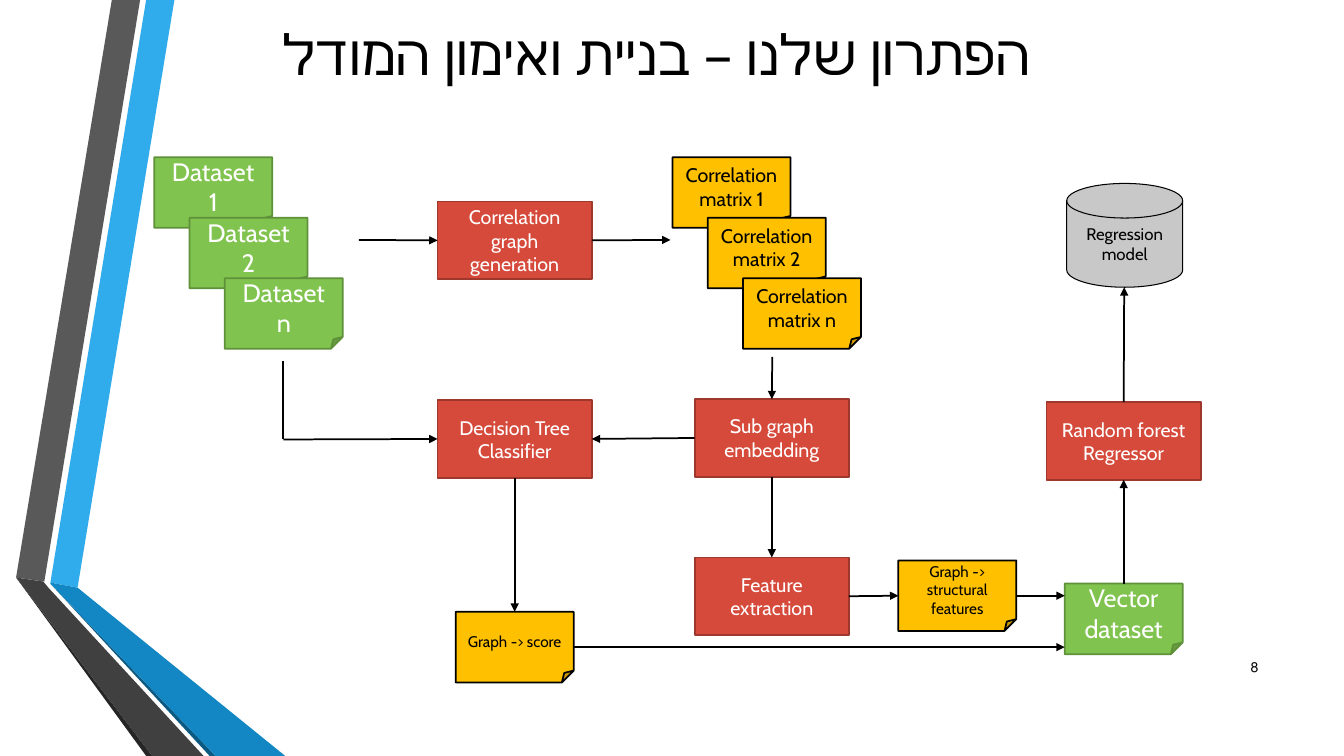
from pptx import Presentation
from pptx.dml.color import RGBColor
from pptx.enum.shapes import MSO_CONNECTOR, MSO_SHAPE
from pptx.enum.text import MSO_ANCHOR, PP_ALIGN
from pptx.oxml.ns import qn
from pptx.util import Pt
from lxml import etree

PX = 9144  # 100 px to the inch
FONT = "Cabin"
BLACK, WHITE = "000000", "FFFFFF"
GREEN, RED, AMBER = ("80C34F", "5F903A"), ("D64A3B", "9E372C"), ("FFC000", BLACK)
RECT, NOTE = MSO_SHAPE.RECTANGLE, MSO_SHAPE.FOLDED_CORNER
DISK = MSO_SHAPE.FLOWCHART_MAGNETIC_DISK
STRAIGHT = MSO_CONNECTOR.STRAIGHT
CENTER, RIGHT_ALIGN = PP_ALIGN.CENTER, PP_ALIGN.RIGHT
MIDDLE = MSO_ANCHOR.MIDDLE
TOP, LEFT, BOTTOM, RIGHT = range(4)

RIBBONS = [
    ("30ACEC", [(50, 578), (77, 583), (173, 0), (145, 0)]),
    ("595959", [(139, 0), (111, 0), (16, 573), (44, 577)]),
    ("262626", [(16, 573), (145, 750), (151, 750)]),
    ("0C5A82", [(50, 579), (208, 750), (214, 750)]),
    ("1287C3", [(50, 579), (214, 750), (283, 750), (77, 583), (50, 578)]),
    ("404040", [(202, 750), (48, 583), (43, 577), (16, 573), (151, 750)]),
]


def rgb(value):
    return RGBColor.from_string(value)


def px(*lengths):
    return [n * PX for n in lengths]


def write(shape, text, size, color, align=CENTER, rtl=False):
    tf = shape.text_frame
    tf.word_wrap = True
    tf.vertical_anchor = MIDDLE
    tf.text = text
    for p in tf.paragraphs:
        p.alignment = align
        p.font.name = FONT
        p.font.size = Pt(size)
        p.font.color.rgb = rgb(color)
        if rtl:
            p._p.get_or_add_pPr().set("rtl", "1")


def add_ribbon(s, color, points):
    builder = s.shapes.build_freeform(*points[0], scale=PX)
    builder.add_line_segments(points[1:], close=True)
    sp = builder.convert_to_shape()
    sp.shadow.inherit = False
    sp.fill.solid()
    sp.fill.fore_color.rgb = rgb(color)
    sp.line.fill.background()


def add_box(s, kind, box, text, size, colors, text_color, line_width=1.25):
    fill, line = colors
    sp = s.shapes.add_shape(kind, *px(*box))
    sp.shadow.inherit = False
    sp.fill.solid()
    sp.fill.fore_color.rgb = rgb(fill)
    sp.line.color.rgb = rgb(line)
    sp.line.width = Pt(line_width)
    write(sp, text, size, text_color)
    return sp


def add_step(s, x, y, text):
    return add_box(s, RECT, (x, y, 153, 77), text, 14, RED, WHITE)


def add_note(s, x, y, text, size, colors, text_color):
    return add_box(s, NOTE, (x, y, 117, 70), text, size, colors, text_color)


def add_stack(s, x, label, size, colors, text_color):
    """Three overlapping notes, numbered 1, 2 and n."""
    for i, number in enumerate("12n"):
        add_note(s, x + 35 * i, 156 + 60 * i, label + number, size, colors, text_color)


def add_arrow(s, start, end, source=None, target=None, head=True):
    """Line between two points; source and target are (shape, side) joints."""
    line = s.shapes.add_connector(STRAIGHT, *px(*start, *end))
    if source:
        line.begin_connect(*source)
    if target:
        line.end_connect(*target)
    line.line.color.rgb = rgb(BLACK)
    line.line.width = Pt(1.25)
    sp_pr = line._element.spPr
    if head:
        etree.SubElement(sp_pr.find(qn("a:ln")), qn("a:tailEnd"), type="triangle")
    etree.SubElement(sp_pr, qn("a:effectLst"))


def add_title(s, text):
    title = s.shapes.title
    title.left, title.top, title.width, title.height = px(76, -20, 1150, 145)
    write(title, text, 40, BLACK, rtl=True)


def add_page_number(s, text):
    box = s.shapes.add_textbox(*px(1198, 642, 60, 40))
    write(box, text, 10, BLACK, RIGHT_ALIGN, rtl=True)


def main():
    prs = Presentation()
    prs.slide_width, prs.slide_height = px(1333, 750)
    s = prs.slides.add_slide(prs.slide_layouts[5])

    for color, points in RIBBONS:
        add_ribbon(s, color, points)
    add_title(s, "הפתרון שלנו – בניית ואימון המודל")
    add_page_number(s, "8")

    add_stack(s, 153, "Dataset\n", 18, GREEN, WHITE)
    add_stack(s, 667, "Correlation matrix ", 14, AMBER, BLACK)
    correlation = add_step(s, 434, 200, "Correlation graph generation")
    classifier = add_step(s, 434, 397, "Decision Tree\nClassifier")
    embedding = add_step(s, 689, 396, "Sub graph\nembedding")
    extraction = add_step(s, 689, 553, "Feature\nextraction")
    regressor = add_step(s, 1038, 399, "Random forest\nRegressor")
    score = add_note(s, 452, 607, "Graph -> score", 11, AMBER, BLACK)
    features = add_note(s, 891, 556, "Graph -> structural features", 11, AMBER, BLACK)
    vector = add_note(s, 1056, 579, "Vector\ndataset", 18, GREEN, WHITE)
    add_box(s, DISK, (1058, 182, 115, 103), "Regression model", 12,
            ("C8C8C8", BLACK), BLACK, 0.75)

    add_arrow(s, (356, 238), (434, 238), target=(correlation, LEFT))
    add_arrow(s, (587, 238), (665, 238), source=(correlation, RIGHT))
    add_arrow(s, (281, 358), (281, 436), head=False)
    add_arrow(s, (281, 436), (434, 436), target=(classifier, LEFT))
    add_arrow(s, (766, 354), (766, 396), target=(embedding, TOP))
    add_arrow(s, (689, 435), (587, 436), (embedding, LEFT), (classifier, RIGHT))
    add_arrow(s, (766, 473), (766, 553), (embedding, BOTTOM), (extraction, TOP))
    add_arrow(s, (511, 474), (511, 607), (classifier, BOTTOM), (score, TOP))
    add_arrow(s, (569, 642), (1056, 642), source=(score, RIGHT))
    add_arrow(s, (842, 591), (891, 591), (extraction, RIGHT), (features, LEFT))
    add_arrow(s, (1008, 591), (1056, 591), source=(features, RIGHT))
    add_arrow(s, (1115, 579), (1115, 476), (vector, TOP), (regressor, BOTTOM))
    add_arrow(s, (1115, 399), (1115, 285), source=(regressor, TOP))

    prs.save("out.pptx")


if __name__ == "__main__":
    main()
